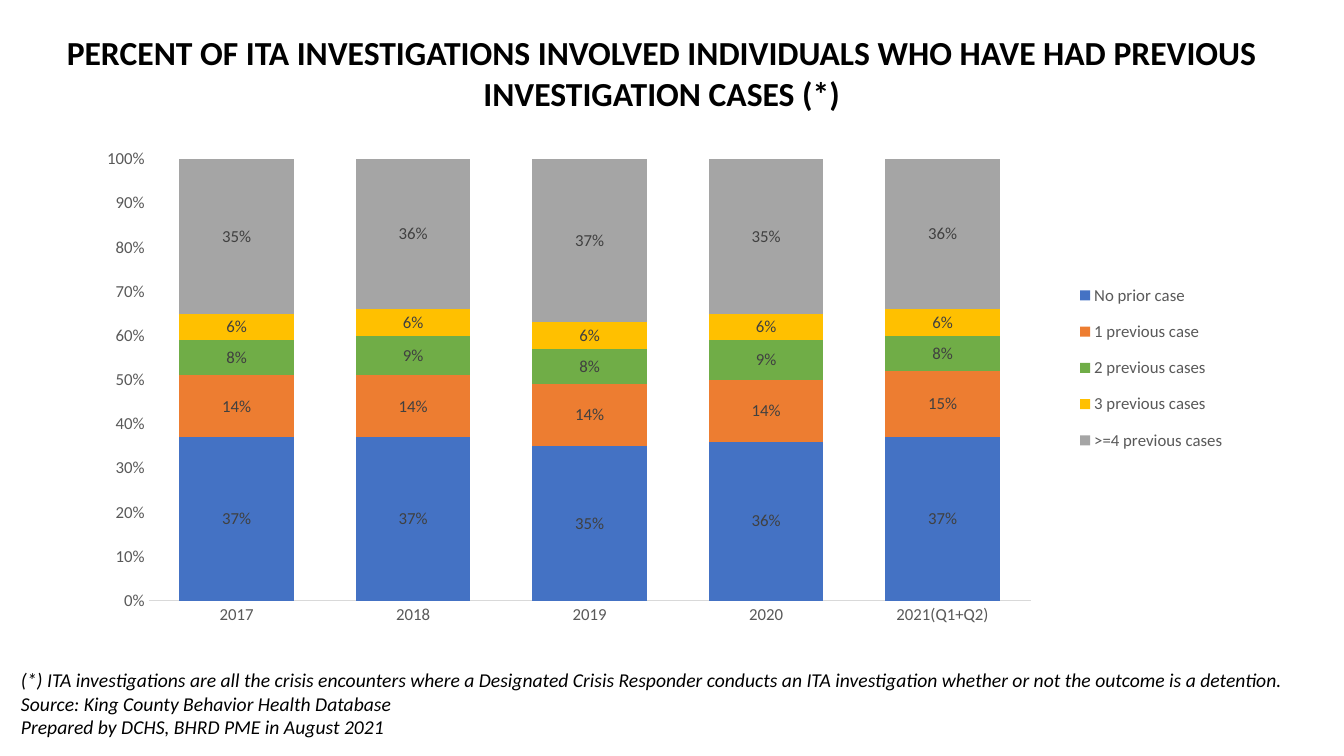
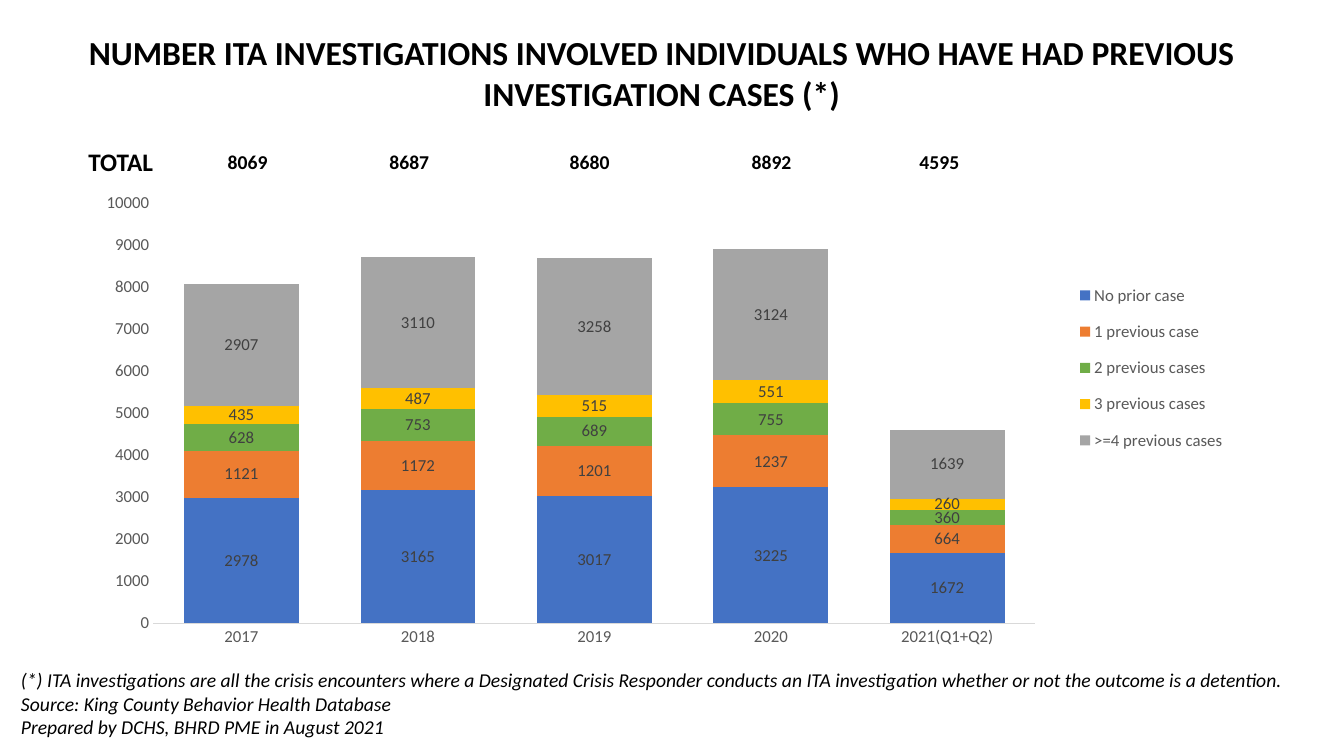
from dataclasses import dataclass

from pptx import Presentation
from pptx.chart.chart import Chart
from pptx.chart.data import CategoryChartData
from pptx.dml.color import RGBColor
from pptx.enum.chart import XL_CHART_TYPE, XL_LEGEND_POSITION, XL_TICK_MARK
from pptx.enum.text import MSO_ANCHOR, MSO_AUTO_SIZE, PP_ALIGN
from pptx.oxml import parse_xml
from pptx.oxml.ns import nsdecls, qn
from pptx.slide import Slide
from pptx.text.text import Font, TextFrame
from pptx.util import Cm, Pt

STACKED = XL_CHART_TYPE.COLUMN_STACKED
LEGEND_BOTTOM = XL_LEGEND_POSITION.BOTTOM
NO_TICK = XL_TICK_MARK.NONE
MIDDLE = MSO_ANCHOR.MIDDLE
GROW = MSO_AUTO_SIZE.SHAPE_TO_FIT_TEXT
LEFT, CENTER = PP_ALIGN.LEFT, PP_ALIGN.CENTER


@dataclass(frozen=True)
class Theme:
    font: str = "Calibri"
    ink: str = "000000"
    axis_text: str = "595959"
    label_text: str = "404040"
    axis_line: str = "D9D9D9"
    series: tuple[str, ...] = ("4472C4", "ED7D31", "70AD47", "FFC000", "A5A5A5")
    title_size: int = 24
    total_size: int = 18
    note_size: int = 14
    chart_size: int = 12


@dataclass(frozen=True)
class Box:
    left: float
    top: float
    width: float
    height: float

    def lengths(self) -> tuple[Cm, Cm, Cm, Cm]:
        return Cm(self.left), Cm(self.top), Cm(self.width), Cm(self.height)


@dataclass(frozen=True)
class CaseChart:
    title: str
    values: tuple[tuple[float, ...], ...]
    number_format: str
    maximum: float
    plot: Box
    show_totals: bool = False


THEME = Theme()
TITLE_BOX = Box(1.32, 0.69, 30.71, 2.31)
CHART_BOX = Box(2.18, 3.28, 29.49, 13.46)
FOOTNOTE_BOX = Box(0.28, 16.71, 33.32, 2.06)
TOTAL_BOX = Box(1.98, 3.56, 3.71, 1.02)
TOTALS_LEFT, TOTALS_TOP, TOTALS_HEIGHT = 4.45, 3.56, 1.04
TOTALS_WIDTHS = (3.58, 4.57, 4.52, 4.65, 3.81)
LEGEND_AREA = Box(0.84, 0.26, 0.14, 0.37)

YEARS = ("2017", "2018", "2019", "2020", "2021(Q1+Q2)")
CASE_GROUPS = (
    "No prior case",
    "1 previous case",
    "2 previous cases",
    "3 previous cases",
    ">=4 previous cases",
)
FOOTNOTE = (
    "(*) ITA investigations are all the crisis encounters where a Designated Crisis "
    "Responder conducts an ITA investigation whether or not the outcome is a detention.",
    "Source: King County Behavior Health Database",
    "Prepared by DCHS, BHRD PME in August 2021",
)
TITLE_END = "ITA INVESTIGATIONS INVOLVED INDIVIDUALS WHO HAVE HAD PREVIOUS INVESTIGATION CASES (*)"

CASE_CHARTS = (
    CaseChart(
        title=f"PERCENT OF {TITLE_END}",
        values=(
            (0.37, 0.37, 0.35, 0.36, 0.37),
            (0.14, 0.14, 0.14, 0.14, 0.15),
            (0.08, 0.09, 0.08, 0.09, 0.08),
            (0.06, 0.06, 0.06, 0.06, 0.06),
            (0.35, 0.36, 0.37, 0.35, 0.36),
        ),
        number_format="0%",
        maximum=1,
        plot=Box(0.053, 0.054, 0.754, 0.827),
    ),
    CaseChart(
        title=f"NUMBER {TITLE_END}",
        values=(
            (2978, 3165, 3017, 3225, 1672),
            (1121, 1172, 1201, 1237, 664),
            (628, 753, 689, 755, 360),
            (435, 487, 515, 551, 260),
            (2907, 3110, 3258, 3124, 1639),
        ),
        number_format="General",
        maximum=10000,
        plot=Box(0.057, 0.135, 0.754, 0.788),
        show_totals=True,
    ),
)


def style_font(font: Font, size: int, color: str, bold: bool = False, italic: bool = False) -> None:
    font.name = THEME.font
    font.size = Pt(size)
    font.color.rgb = RGBColor.from_string(color)
    font.bold = bold
    font.italic = italic


def write_text(frame: TextFrame, *lines: str, size: int, align: PP_ALIGN = LEFT,
               bold: bool = False, italic: bool = False) -> None:
    for index, line in enumerate(lines):
        paragraph = frame.add_paragraph() if index else frame.paragraphs[0]
        paragraph.alignment = align
        run = paragraph.add_run()
        run.text = line
        style_font(run.font, size, THEME.ink, bold, italic)


def add_text_box(slide: Slide, box: Box) -> TextFrame:
    frame = slide.shapes.add_textbox(*box.lengths()).text_frame
    frame.word_wrap = True
    frame.auto_size = GROW
    return frame


def set_layout(chart: Chart, parent_tag: str, position: int, area: Box, inner: bool = False) -> None:
    parent = chart.element.find(qn("c:chart")).find(qn(parent_tag))
    for existing in parent.findall(qn("c:layout")):
        parent.remove(existing)
    target = '<c:layoutTarget val="inner"/>' if inner else ""
    parent.insert(position, parse_xml(
        f'<c:layout {nsdecls("c")}><c:manualLayout>{target}'
        '<c:xMode val="edge"/><c:yMode val="edge"/>'
        f'<c:x val="{area.left}"/><c:y val="{area.top}"/>'
        f'<c:w val="{area.width}"/><c:h val="{area.height}"/>'
        '</c:manualLayout></c:layout>'))


def style_axes(chart: Chart, case_chart: CaseChart) -> None:
    for axis in (chart.category_axis, chart.value_axis):
        axis.major_tick_mark = axis.minor_tick_mark = NO_TICK
        axis.has_major_gridlines = False
        style_font(axis.tick_labels.font, THEME.chart_size, THEME.axis_text)
    category_line = chart.category_axis.format.line
    category_line.color.rgb = RGBColor.from_string(THEME.axis_line)
    category_line.width = Pt(0.75)
    value_axis = chart.value_axis
    value_axis.format.line.fill.background()
    value_axis.minimum_scale = 0
    value_axis.maximum_scale = case_chart.maximum
    value_axis.major_unit = case_chart.maximum / 10
    value_axis.tick_labels.number_format = case_chart.number_format
    value_axis.tick_labels.number_format_is_linked = False


def add_case_chart(slide: Slide, case_chart: CaseChart) -> None:
    data = CategoryChartData(number_format=case_chart.number_format)
    data.categories = YEARS
    for group, values in zip(CASE_GROUPS, case_chart.values):
        data.add_series(group, values)
    chart = slide.shapes.add_chart(STACKED, *CHART_BOX.lengths(), data).chart
    style_font(chart.font, THEME.chart_size, THEME.ink)
    chart.has_title = False
    style_axes(chart, case_chart)

    plot = chart.plots[0]
    plot.gap_width = 54
    plot.overlap = 100
    plot.vary_by_categories = False
    for series, color in zip(plot.series, THEME.series):
        series.format.fill.solid()
        series.format.fill.fore_color.rgb = RGBColor.from_string(color)
        labels = series.data_labels
        labels.show_value = True
        labels.number_format = case_chart.number_format
        labels.number_format_is_linked = False
        style_font(labels.font, THEME.chart_size, THEME.label_text)

    chart.has_legend = True
    chart.legend.position = LEGEND_BOTTOM
    chart.legend.include_in_layout = False
    style_font(chart.legend.font, THEME.chart_size, THEME.axis_text)
    set_layout(chart, "c:plotArea", 0, case_chart.plot, inner=True)
    set_layout(chart, "c:legend", 1, LEGEND_AREA)


def add_totals(slide: Slide, case_chart: CaseChart) -> None:
    write_text(add_text_box(slide, TOTAL_BOX), "TOTAL", size=THEME.total_size, bold=True)
    totals = [sum(year_values) for year_values in zip(*case_chart.values)]
    box = Box(TOTALS_LEFT, TOTALS_TOP, sum(TOTALS_WIDTHS), TOTALS_HEIGHT)
    table = slide.shapes.add_table(1, len(totals), *box.lengths()).table
    table.first_row = False
    table.horz_banding = False
    for index, (total, width) in enumerate(zip(totals, TOTALS_WIDTHS)):
        table.columns[index].width = Cm(width)
        cell = table.cell(0, index)
        cell.fill.background()
        cell.vertical_anchor = MIDDLE
        cell.margin_left = cell.margin_right = cell.margin_top = Cm(0.03)
        cell.margin_bottom = 0
        write_text(cell.text_frame, str(total), size=THEME.note_size, align=CENTER, bold=True)


def build_slide(slide: Slide, case_chart: CaseChart) -> None:
    add_case_chart(slide, case_chart)
    write_text(add_text_box(slide, TITLE_BOX), case_chart.title,
               size=THEME.title_size, align=CENTER, bold=True)
    write_text(add_text_box(slide, FOOTNOTE_BOX), *FOOTNOTE, size=THEME.note_size, italic=True)
    if case_chart.show_totals:
        add_totals(slide, case_chart)


def main() -> None:
    presentation = Presentation()
    presentation.slide_width = Cm(33.87)
    presentation.slide_height = Cm(19.05)
    blank_layout = presentation.slide_layouts[6]
    for case_chart in CASE_CHARTS:
        build_slide(presentation.slides.add_slide(blank_layout), case_chart)
    presentation.save("out.pptx")


if __name__ == "__main__":
    main()
